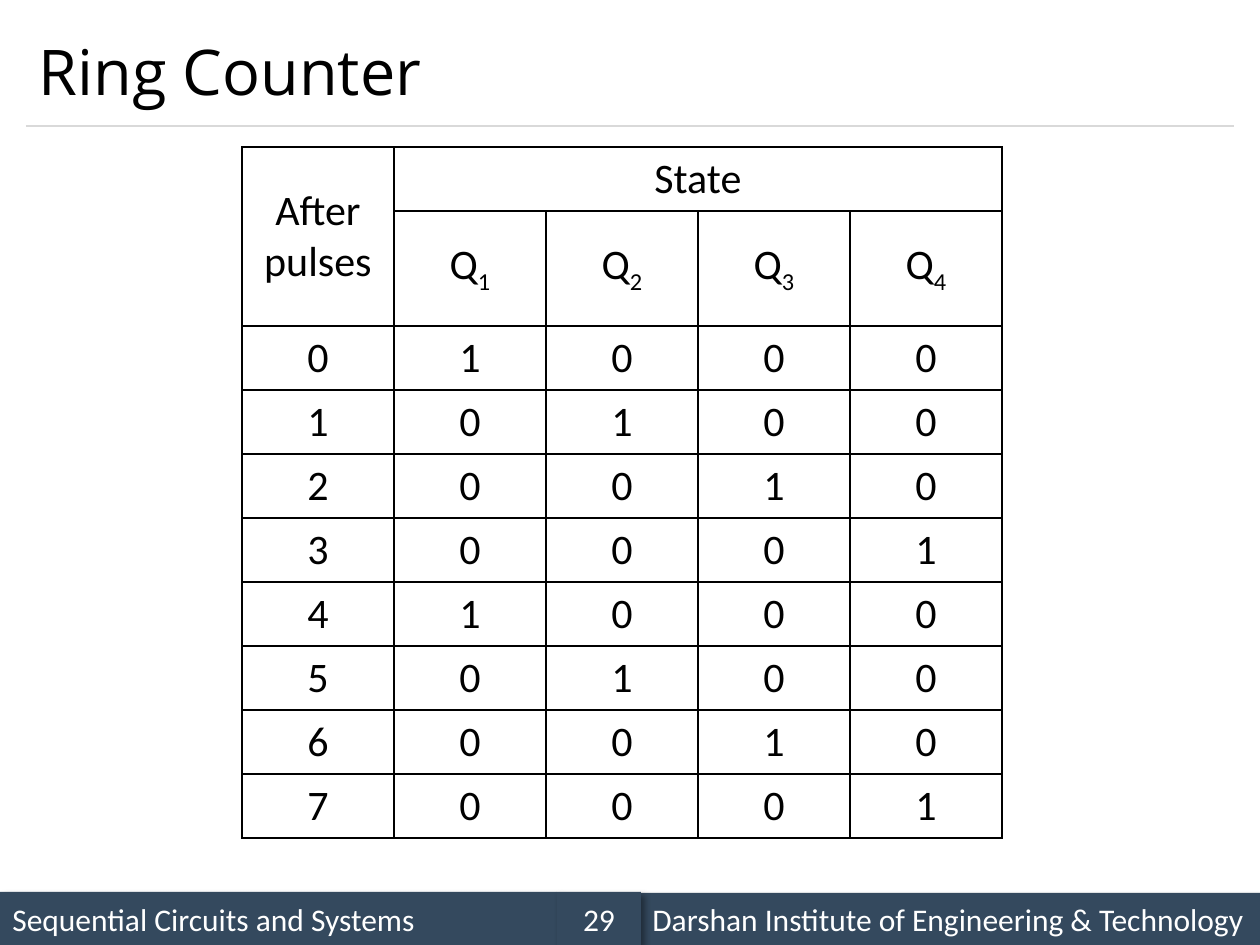
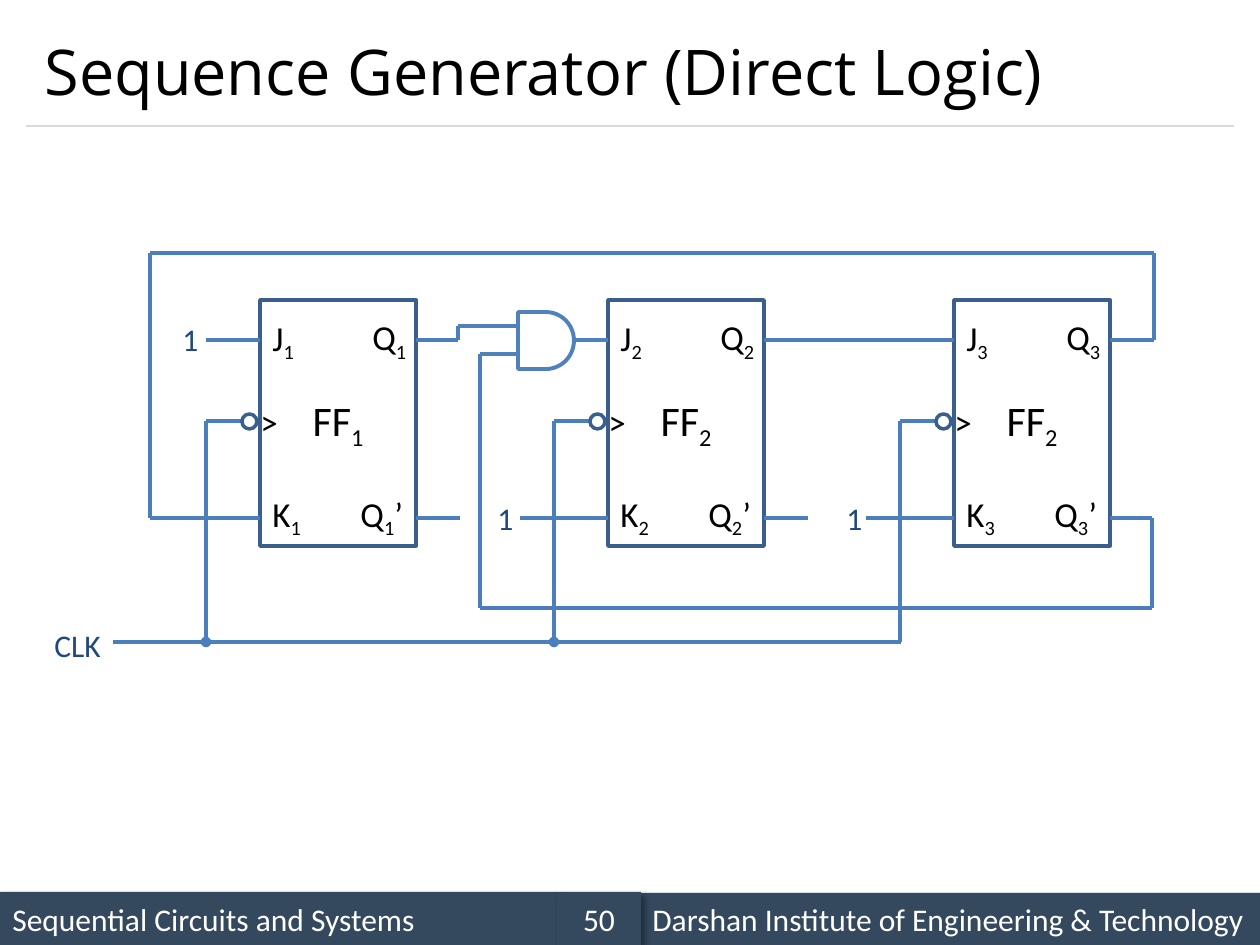
import lxml.etree
import pptx
import pptx.dml.color
import pptx.enum.shapes
import pptx.enum.text
import pptx.oxml
import pptx.oxml.ns
import pptx.util

EMU_PER_PX = 914400 / 126
BODY_FONT = "Calibri"
TITLE_FONT = "Open Sans"
BLACK, WHITE = "000000", "FFFFFF"
BAND, RULE = "34495E", "D9D9D9"
WIRE, OUTLINE, GATE, SIGNAL = "4B7EBC", "3A5F8C", "4F81BD", "1F497D"
SHAPES = pptx.enum.shapes.MSO_SHAPE
ALIGN = pptx.enum.text.PP_ALIGN
ANCHOR = pptx.enum.text.MSO_ANCHOR

FF_TOP, FF_WIDTH, FF_HEIGHT = 300, 156, 246
Q_LINE, CLOCK_LINE, K_LINE, CLOCK_BUS = 340, 421, 518, 642
CLOCK_OFFSET = 54


def px(length):
    return round(length * EMU_PER_PX)


def box(*lengths):
    return [px(length) for length in lengths]


def color(hex_text):
    return pptx.dml.color.RGBColor.from_string(hex_text)


def write(frame, text, size=18, font=BODY_FONT, hue=BLACK, align=ALIGN.LEFT,
          anchor=ANCHOR.MIDDLE, wrap=True):
    """Fill a text frame; the character after each underscore is a subscript."""
    frame.word_wrap = wrap
    frame.vertical_anchor = anchor
    paragraph = frame.paragraphs[0]
    paragraph.alignment = align
    normal, *rest = text.split("_")
    pieces = [(normal, False)]
    for part in rest:
        pieces += [(part[0], True), (part[1:], False)]
    for piece, lowered in pieces:
        if not piece:
            continue
        run = paragraph.add_run()
        run.text = piece
        run.font.size = pptx.util.Pt(size)
        run.font.name = font
        run.font.color.rgb = color(hue)
        if lowered:
            run._r.get_or_add_rPr().set("baseline", "-25000")


def add_preset(slide, kind, area, fill=None, line=None, weight=2):
    shape = slide.shapes.add_shape(kind, *box(*area))
    shape.shadow.inherit = False
    if fill:
        shape.fill.solid()
        shape.fill.fore_color.rgb = color(fill)
    else:
        shape.fill.background()
    if line:
        shape.line.color.rgb = color(line)
        shape.line.width = pptx.util.Pt(weight)
    else:
        shape.line.fill.background()
    return shape


def add_label(slide, text, area, **style):
    label = slide.shapes.add_textbox(*box(*area))
    write(label.text_frame, text, anchor=ANCHOR.TOP, wrap=False, **style)


def add_wire(slide, *points, hue=WIRE, weight=2, dot=False):
    for start, end in zip(points, points[1:]):
        wire = slide.shapes.add_connector(
            pptx.enum.shapes.MSO_CONNECTOR.STRAIGHT, *box(*start, *end))
        wire.line.color.rgb = color(hue)
        wire.line.width = pptx.util.Pt(weight)
        properties = wire._element.spPr
        if dot:
            outline = properties.find(pptx.oxml.ns.qn("a:ln"))
            lxml.etree.SubElement(outline, pptx.oxml.ns.qn("a:headEnd"), type="oval")
        lxml.etree.SubElement(properties, pptx.oxml.ns.qn("a:effectLst"))


def add_band(slide, text, area, align=ALIGN.LEFT):
    band = add_preset(slide, SHAPES.RECTANGLE, area, fill=BAND)
    effects = band._element.spPr.find(pptx.oxml.ns.qn("a:effectLst"))
    effects.append(pptx.oxml.parse_xml(
        f'<a:outerShdw {pptx.oxml.ns.nsdecls("a")} blurRad="50800" dist="38100" '
        'dir="2700000" algn="tl" rotWithShape="0"><a:srgbClr val="000000">'
        '<a:alpha val="40000"/></a:srgbClr></a:outerShdw>'))
    write(band.text_frame, text, hue=WHITE, align=align)


def add_page(deck, title, number, title_left):
    slide = deck.slides.add_slide(deck.slide_layouts[5])
    add_band(slide, "Sequential Circuits and Systems", (0, 892, 557, 53))
    add_wire(slide, (26, 126), (1234, 126), hue=RULE, weight=0.75)
    add_band(slide, "Darshan Institute of Engineering & Technology", (640, 893, 620, 52))
    add_band(slide, str(number), (557, 892, 84, 53), align=ALIGN.CENTER)
    heading = slide.shapes.title
    heading.left, heading.top, heading.width, heading.height = box(title_left, 15, 1207, 111)
    heading.text_frame.auto_size = pptx.enum.text.MSO_AUTO_SIZE.NONE
    write(heading.text_frame, title, size=36, font=TITLE_FONT)
    return slide


def add_borders(cell):
    properties = cell._tc.get_or_add_tcPr()
    for side in "LRTB":
        properties.append(pptx.oxml.parse_xml(
            f'<a:ln{side} {pptx.oxml.ns.nsdecls("a")} w="12700"><a:solidFill>'
            f'<a:srgbClr val="{BLACK}"/></a:solidFill></a:ln{side}>'))


def add_state_table(slide):
    header = [["After pulses", "State", "", "", ""],
              [""] + [f"Q_{output}" for output in range(1, 5)]]
    states = [[str(pulse)] + [str(int(pulse % 4 == stage)) for stage in range(4)]
              for pulse in range(8)]
    rows = header + states
    table = slide.shapes.add_table(len(rows), 5, *box(242, 147, 760, 640)).table
    table.first_row = table.horz_banding = False
    for row in table.rows:
        row.height = px(64)
    for column in table.columns:
        column.width = px(152)
    table.cell(0, 0).merge(table.cell(1, 0))
    table.cell(0, 1).merge(table.cell(0, 4))
    for row_index, values in enumerate(rows):
        for column_index, value in enumerate(values):
            cell = table.cell(row_index, column_index)
            add_borders(cell)
            cell.fill.background()
            cell.vertical_anchor = ANCHOR.MIDDLE
            if value:
                write(cell.text_frame, value, size=24, align=ALIGN.CENTER)


def add_flip_flop(slide, left, stage, name, dot):
    body = add_preset(slide, SHAPES.RECTANGLE, (left, FF_TOP, FF_WIDTH, FF_HEIGHT), line=OUTLINE)
    write(body.text_frame, name, size=24, align=ALIGN.CENTER)
    pins = [(f"J_{stage}", 0, 310, 49), (f"Q_{stage}", 100, 309, 61), (">", -12, 394, 43),
            (f"K_{stage}", 0, 486, 55), (f"Q_{stage}’", 88, 486, 71)]
    for text, offset, top, width in pins:
        add_label(slide, text, (left + offset, top, width, 55), size=20)
    clock = left - CLOCK_OFFSET
    add_wire(slide, (clock, CLOCK_BUS), (clock, CLOCK_LINE), dot=dot)
    add_wire(slide, (clock, CLOCK_LINE), (left - 19, CLOCK_LINE))
    add_preset(slide, SHAPES.OVAL, (left - 18, CLOCK_LINE - 7, 15, 15), fill=WHITE, line=OUTLINE)


def add_circuit(slide):
    first, second, third = 260, 608, 954
    add_flip_flop(slide, first, 1, "FF_1", dot=True)
    add_flip_flop(slide, second, 2, "FF_2", dot=True)
    add_flip_flop(slide, third, 3, "FF_2", dot=False)

    for text, area in [("1", (170, 314, 42, 50)), ("1", (485, 493, 42, 50)),
                       ("1", (834, 493, 42, 50)), ("CLK", (42, 620, 73, 52))]:
        add_label(slide, text, area, hue=SIGNAL)

    add_wire(slide, (113, CLOCK_BUS), (third - CLOCK_OFFSET + 1, CLOCK_BUS))
    add_wire(slide, (206, Q_LINE), (first, Q_LINE))
    for left in (second, third):
        add_wire(slide, (left - 88, K_LINE), (left, K_LINE))
    for left in (first, second):
        right = left + FF_WIDTH
        add_wire(slide, (right, K_LINE), (right + 44, K_LINE))
    add_wire(slide, (second + FF_WIDTH, Q_LINE), (third, Q_LINE))

    output = third + FF_WIDTH
    add_wire(slide, (output, Q_LINE), (1154, Q_LINE), (1154, 253),
             (150, 253), (150, K_LINE), (first, K_LINE))
    add_wire(slide, (output, K_LINE), (1152, K_LINE), (1152, 608), (480, 608), (480, 354))
    add_wire(slide, (first + FF_WIDTH, Q_LINE), (458, Q_LINE), (458, 326))

    add_wire(slide, (480, 354), (518, 354), hue=GATE, weight=2.25)
    add_wire(slide, (458, 326), (518, 326), hue=GATE, weight=2.25)
    add_wire(slide, (574, Q_LINE), (second, Q_LINE), hue=GATE, weight=2.25)
    add_preset(slide, SHAPES.FLOWCHART_DELAY, (518, 312, 56, 57), line=GATE, weight=2.25)


def main():
    deck = pptx.Presentation()
    deck.slide_width, deck.slide_height = box(1260, 945)
    add_state_table(add_page(deck, "Ring Counter", 29, title_left=26))
    add_circuit(add_page(deck, "Sequence Generator (Direct Logic)", 50, title_left=32))
    deck.save("out.pptx")


if __name__ == "__main__":
    main()
